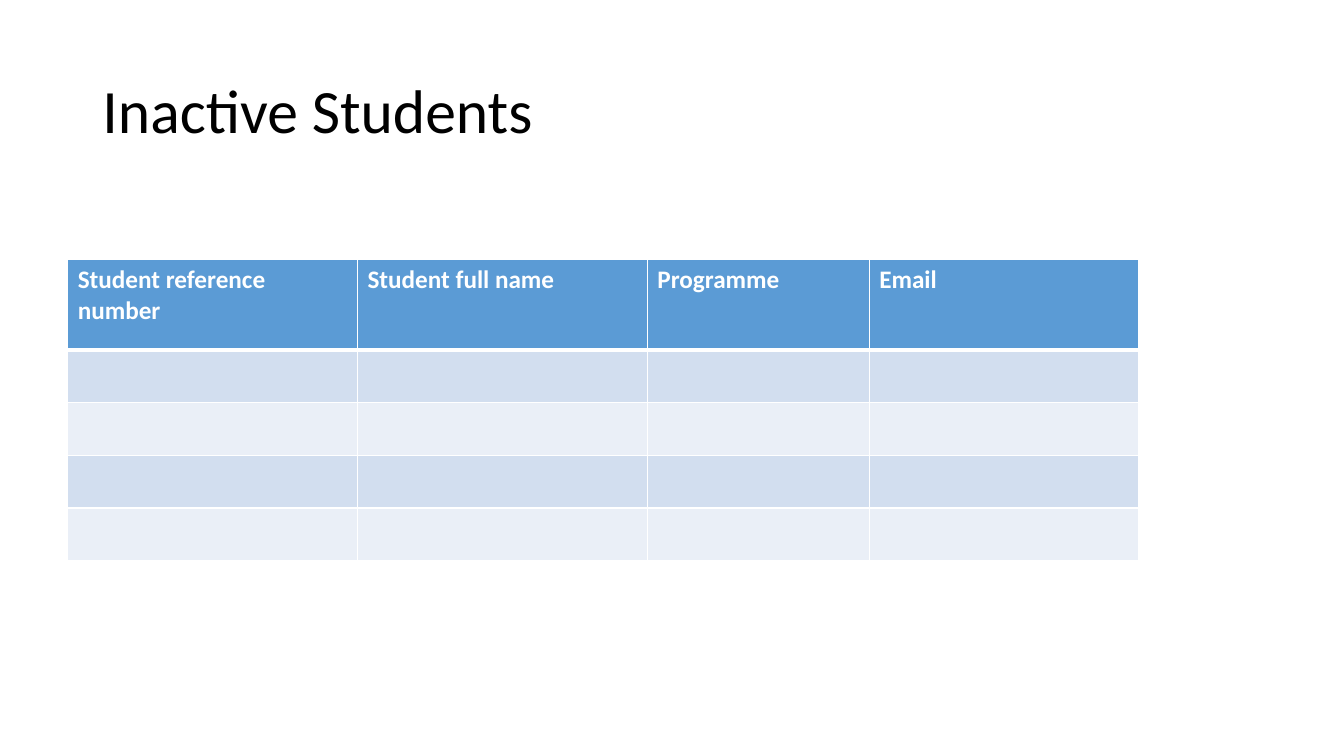
from lxml import etree
from pptx import Presentation
from pptx.dml.color import RGBColor
from pptx.enum.text import MSO_ANCHOR, PP_ALIGN
from pptx.oxml.ns import qn
from pptx.util import Pt

LEFT = PP_ALIGN.LEFT
MIDDLE = MSO_ANCHOR.MIDDLE

TITLE = "Inactive Students"
HEADERS = ["Student reference number", "Student full name", "Programme", "Email"]
EMPTY_ROWS = 4

FONT = "Calibri"
WHITE = "FFFFFF"
HEADER_FILL = "5B9BD5"
BAND_FILLS = ["D2DEEF", "EAEFF7"]
TITLE_FONT = {"name": FONT, "size": Pt(44), "bold": False}
HEADER_FONT = {"name": FONT, "size": Pt(18), "bold": True}

SLIDE_SIZE = (960, 540)
TITLE_BOX = {"left": 66, "top": 28.75, "width": 828, "height": 104.4}
TABLE_LEFT, TABLE_TOP = 48.4, 185.3
COL_WIDTHS = [207, 207, 158.5, 192.6]
ROW_HEIGHTS = [64.5] + [37.7] * EMPTY_ROWS


def rgb(color):
    return RGBColor.from_string(color)


def format_font(font, values, color):
    for name, value in values.items():
        setattr(font, name, value)
    font.color.rgb = rgb(color)


def add_borders(cell, widths):
    tcPr = cell._tc.get_or_add_tcPr()
    for side, width in widths.items():
        ln = etree.SubElement(tcPr, qn(f"a:ln{side}"), w=str(Pt(width)))
        fill = etree.SubElement(ln, qn("a:solidFill"))
        etree.SubElement(fill, qn("a:srgbClr"), val=WHITE)


def add_title(slide):
    sp = slide.shapes.title
    for name, value in TITLE_BOX.items():
        setattr(sp, name, Pt(value))
    tf = sp.text_frame
    tf.text = TITLE
    tf.word_wrap = True
    tf.vertical_anchor = MIDDLE
    p = tf.paragraphs[0]
    p.alignment = LEFT
    p.line_spacing = 0.9
    format_font(p.runs[0].font, TITLE_FONT, "000000")


def add_student_table(slide):
    table = slide.shapes.add_table(
        len(ROW_HEIGHTS), len(COL_WIDTHS), Pt(TABLE_LEFT), Pt(TABLE_TOP),
        Pt(sum(COL_WIDTHS)), Pt(sum(ROW_HEIGHTS))).table
    for col, width in zip(table.columns, COL_WIDTHS):
        col.width = Pt(width)
    for i, height in enumerate(ROW_HEIGHTS):
        table.rows[i].height = Pt(height)
        color = BAND_FILLS[(i - 1) % 2] if i else HEADER_FILL
        borders = {"L": 1, "R": 1, "T": 3 if i == 1 else 1, "B": 1 if i else 3}
        for cell in table.rows[i].cells:
            add_borders(cell, borders)
            cell.fill.solid()
            cell.fill.fore_color.rgb = rgb(color)
    for cell, text in zip(table.rows[0].cells, HEADERS):
        cell.text = text
        format_font(cell.text_frame.paragraphs[0].runs[0].font, HEADER_FONT, WHITE)


def main():
    prs = Presentation()
    prs.slide_width, prs.slide_height = map(Pt, SLIDE_SIZE)
    slide = prs.slides.add_slide(prs.slide_layouts[5])
    add_title(slide)
    add_student_table(slide)
    prs.save("out.pptx")


if __name__ == "__main__":
    main()
